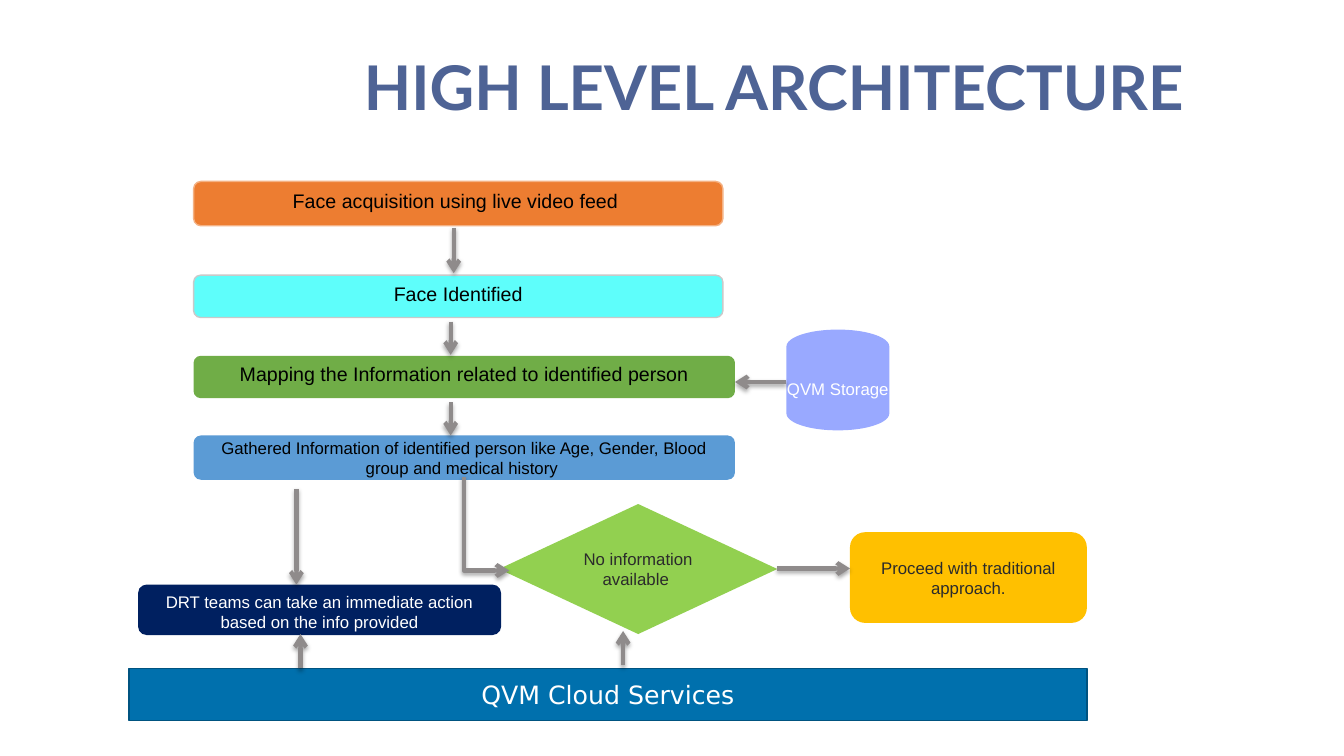
"""Build the high level architecture slide."""
from lxml import etree
from pptx import Presentation
from pptx.dml.color import RGBColor
from pptx.enum import shapes, text
from pptx.oxml import ns
from pptx.util import Inches, Pt

COLORS = {
    "title": "4E6395", "arrow": "8F8B8B", "black": "000000", "dark": "2B2B2B",
    "white": "FFFFFF", "orange": "ED7D31", "peach": "F4B183", "cyan": "5EFEFB",
    "silver": "C9C9C9", "green": "70AD47", "blue": "5B9BD5", "lime": "92D050",
    "navy": "002060", "gold": "FFC000", "cloud": "0070AD", "cloud_edge": "005380",
    "storage": "99A9FF",
}
BOX = shapes.MSO_SHAPE
TOP, MIDDLE = text.MSO_ANCHOR.TOP, text.MSO_ANCHOR.MIDDLE
DEFAULT_INSETS = (0.1, 0.05, 0.1, 0.05)


def write(target, words, size=12, color="black", font="Arial", bold=False,
          align=text.PP_ALIGN.CENTER, anchor=MIDDLE, insets=DEFAULT_INSETS, spacing=None):
    """Put formatted words into a shape."""
    frame = target.text_frame
    frame.word_wrap = True
    frame.auto_size = text.MSO_AUTO_SIZE.NONE
    frame.vertical_anchor = anchor
    (frame.margin_left, frame.margin_top,
     frame.margin_right, frame.margin_bottom) = map(Inches, insets)
    paragraph = frame.paragraphs[0]
    paragraph.alignment = align
    paragraph.line_spacing = spacing
    run = paragraph.add_run()
    run.text = words
    run.font.name, run.font.size, run.font.bold = font, Pt(size), bold
    run.font.color.rgb = RGBColor.from_string(COLORS[color])


def add_arrow(kind, start, end):
    """Draw a grey arrow with a soft shadow below it."""
    arrow = slide.shapes.add_connector(kind, *map(Inches, (*start, *end)))
    arrow.line.width = Pt(3)
    arrow.line.color.rgb = RGBColor.from_string(COLORS["arrow"])
    etree.SubElement(arrow.line._get_or_add_ln(), ns.qn("a:tailEnd"), type="arrow")
    effects = etree.SubElement(arrow.element.spPr, ns.qn("a:effectLst"))
    shadow = etree.SubElement(effects, ns.qn("a:outerShdw"), blurRad=str(Pt(3.1)),
                              dist=str(Pt(1.8)), dir="5400000", rotWithShape="0")
    tint = etree.SubElement(shadow, ns.qn("a:srgbClr"), val=COLORS["black"])
    etree.SubElement(tint, ns.qn("a:alpha"), val="35000")
    return arrow


deck = Presentation()
deck.slide_width, deck.slide_height = Inches(13.33), Inches(7.5)
slide = deck.slides.add_slide(deck.slide_layouts[5])

heading = slide.shapes.title
heading.left, heading.top, heading.width, heading.height = map(Inches, (3.61, 0.57, 8.91, 0.7))
write(heading, "HIGH LEVEL ARCHITECTURE", size=44, color="title", font="Lato", bold=True,
      align=text.PP_ALIGN.LEFT, anchor=TOP, insets=(0, 0, 0, 0), spacing=0.9)

steps = [
    (BOX.DIAMOND, (4.95, 5, 2.76, 1.29), "lime", None,
     "No information available ", {"color": "dark"}),
    (BOX.ROUNDED_RECTANGLE, (1.92, 4.32, 5.37, 0.44), "blue", None,
     "Gathered Information of identified person like Age, Gender, Blood group "
     "and medical history ", {}),
    (BOX.ROUNDED_RECTANGLE, (1.92, 3.53, 5.37, 0.42), "green", None,
     "Mapping the Information related to identified person",
     {"size": 14, "insets": (0.1, 0.05, 0.1, 0.11)}),
    (BOX.ROUNDED_RECTANGLE, (1.92, 2.73, 5.25, 0.42), "cyan", "silver",
     "Face Identified", {"size": 14, "anchor": TOP}),
    (BOX.ROUNDED_RECTANGLE, (1.92, 1.8, 5.25, 0.44), "orange", "peach",
     "Face acquisition using live video feed ", {"size": 14, "anchor": TOP}),
    (BOX.ROUNDED_RECTANGLE, (1.37, 5.8, 3.6, 0.5), "navy", None,
     "DRT teams can take an immediate action based on the info provided",
     {"color": "white", "anchor": TOP}),
    (BOX.ROUNDED_RECTANGLE, (8.43, 5.28, 2.35, 0.9), "gold", None,
     "Proceed with traditional approach.", {"color": "dark"}),
    (BOX.RECTANGLE, (1.28, 6.63, 9.5, 0.52), "cloud", "cloud_edge",
     "QVM Cloud Services", {"size": 18, "color": "white", "font": "DejaVu Sans"}),
    (BOX.FLOWCHART_MAGNETIC_DISK, (7.8, 3.27, 1.02, 1), "storage", None,
     "QVM Storage", {"color": "white", "insets": (0, 0, 0, 0)}),
]
for outline, place, fill, edge, words, style in steps:
    step = slide.shapes.add_shape(outline, *map(Inches, place))
    step.shadow.inherit = False
    step.fill.solid()
    step.fill.fore_color.rgb = RGBColor.from_string(COLORS[fill])
    if edge:
        step.line.color.rgb = RGBColor.from_string(COLORS[edge])
        step.line.width = Pt(1)
    else:
        step.line.fill.background()
    write(step, words, **style)

flows = [
    ((4.5, 2.26), (4.5, 2.71)),
    ((4.47, 3.19), (4.47, 3.52)),
    ((4.47, 3.99), (4.47, 4.32)),
    ((2.94, 4.85), (2.94, 5.8)),
    ((7.71, 5.64), (8.43, 5.64)),
    ((2.98, 6.63), (2.98, 6.29)),
    ((6.18, 6.6), (6.18, 6.26)),
    ((7.8, 3.79), (7.29, 3.79)),
]
for start, end in flows:
    add_arrow(shapes.MSO_CONNECTOR.STRAIGHT, start, end)

no_info_branch = add_arrow(shapes.MSO_CONNECTOR.ELBOW, (5.29, 4.97), (4.36, 5.42))
branch_form = no_info_branch.element.spPr
branch_form.find(ns.qn("a:xfrm")).set("rot", "16200000")
branch_form.find(ns.qn("a:prstGeom")).set("prst", "bentConnector2")

deck.save("out.pptx")
